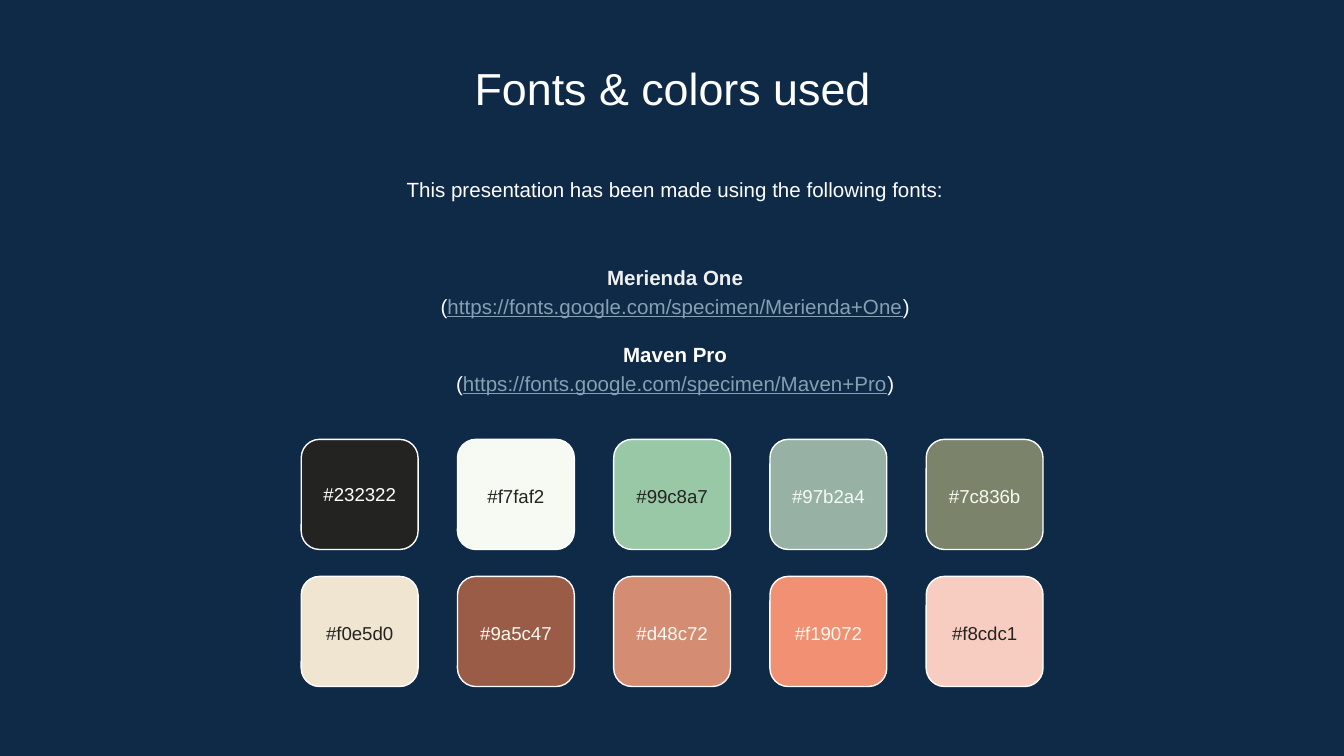
"""Build the slide that lists the fonts and colours of a deck."""
from itertools import product
from typing import NamedTuple

from pptx import Presentation
from pptx.dml.color import RGBColor
from pptx.enum.shapes import MSO_SHAPE
from pptx.enum.text import MSO_ANCHOR, PP_ALIGN
from pptx.util import Pt

HUES = {"back": "0E2A47", "white": "FFFFFF", "pale": "EFEFEF",
        "link": "869FB2", "dark": "232322", "light": "F7FAF2"}
FONT = "Arial"
LEFT, TOP, WIDE, HIGH = 161.4, 235.4, 62.6, 59
STEP_X, STEP_Y = 83.7, 73.4
COLS, ROWS = 5, 2


class Box(NamedTuple):
    """Place of an item, in points."""
    left: float
    top: float
    wide: float
    high: float


class Run(NamedTuple):
    """Words in one style."""
    text: str
    hue: str = "white"
    bold: bool = False
    line: bool = False


class Para(NamedTuple):
    """Runs on one line, with spacing."""
    runs: list[Run]
    space: float = 1.15
    gap: float = 0


class Swatch(NamedTuple):
    """Colour code and the look of its label."""
    code: str
    hue: str = "light"
    space: float = 1.15


SWATCHES = [
    Swatch("#232322", "white", 1.0), Swatch("#f7faf2", "dark"),
    Swatch("#99c8a7", "dark"), Swatch("#97b2a4"), Swatch("#7c836b"),
    Swatch("#f0e5d0", "dark"), Swatch("#9a5c47"), Swatch("#d48c72"),
    Swatch("#f19072"), Swatch("#f8cdc1", "dark"),
]


def paint(code: str) -> RGBColor:
    """Turn a hex string into a colour."""
    return RGBColor.from_string(code.lstrip("#").upper())


def write(slide, box: Box, paras: list[Para], size: float,
          anchor=MSO_ANCHOR.TOP) -> None:
    """Draw a centred text box."""
    frame = slide.shapes.add_textbox(*map(Pt, box)).text_frame
    frame.word_wrap = True
    frame.vertical_anchor = anchor
    frame.margin_top = frame.margin_bottom = Pt(7.2)
    frame.margin_left = frame.margin_right = Pt(7.2)
    for i, para in enumerate(paras):
        line = frame.add_paragraph() if i else frame.paragraphs[0]
        line.alignment = PP_ALIGN.CENTER
        line.line_spacing = para.space
        if para.gap:
            line.space_before = Pt(para.gap)
        for part in para.runs:
            run = line.add_run()
            run.text = part.text
            font = run.font
            font.name, font.size = FONT, Pt(size)
            font.bold, font.underline = part.bold, part.line
            font.color.rgb = paint(HUES[part.hue])


def source(name: str, link: str, hue: str, gap: float = 0) -> list[Para]:
    """Give the two lines that name a font."""
    return [Para([Run(name, hue, bold=True)], gap=gap),
            Para([Run("("), Run(link, "link", line=True), Run(")")])]


def draw(slide, swatch: Swatch, left: float, top: float) -> None:
    """Draw one swatch with its label."""
    tile = slide.shapes.add_shape(MSO_SHAPE.ROUNDED_RECTANGLE,
                                  *map(Pt, (left, top, WIDE, HIGH)))
    tile.shadow.inherit = False
    tile.fill.solid()
    tile.fill.fore_color.rgb = paint(swatch.code)
    tile.line.color.rgb = paint(HUES["white"])
    tile.line.width = Pt(0.75)
    write(slide, Box(left, top + 12.2, WIDE, 34.6),
          [Para([Run(swatch.code, swatch.hue)], swatch.space)], 10,
          MSO_ANCHOR.MIDDLE)


def main() -> None:
    """Build and save the deck."""
    deck = Presentation()
    deck.slide_width, deck.slide_height = Pt(720), Pt(405)
    slide = deck.slides.add_slide(deck.slide_layouts[6])
    slide.background.fill.solid()
    slide.background.fill.fore_color.rgb = paint(HUES["back"])

    write(slide, Box(82.8, 25.2, 555, 38.2),
          [Para([Run("Fonts & colors used")], 1.0)], 24)
    write(slide, Box(84.2, 85.7, 555, 34.6), [Para([Run(
        "This presentation has been made using the following fonts:")])], 11)
    write(slide, Box(84.2, 126.7, 555, 98.6),
          source("Merienda One",
                 "https://fonts.google.com/specimen/Merienda+One", "pale")
          + source("Maven Pro",
                   "https://fonts.google.com/specimen/Maven+Pro", "white", 11),
          11, MSO_ANCHOR.MIDDLE)

    for (row, col), swatch in zip(product(range(ROWS), range(COLS)), SWATCHES):
        draw(slide, swatch, LEFT + col * STEP_X, TOP + row * STEP_Y)
    deck.save("out.pptx")


if __name__ == "__main__":
    main()
